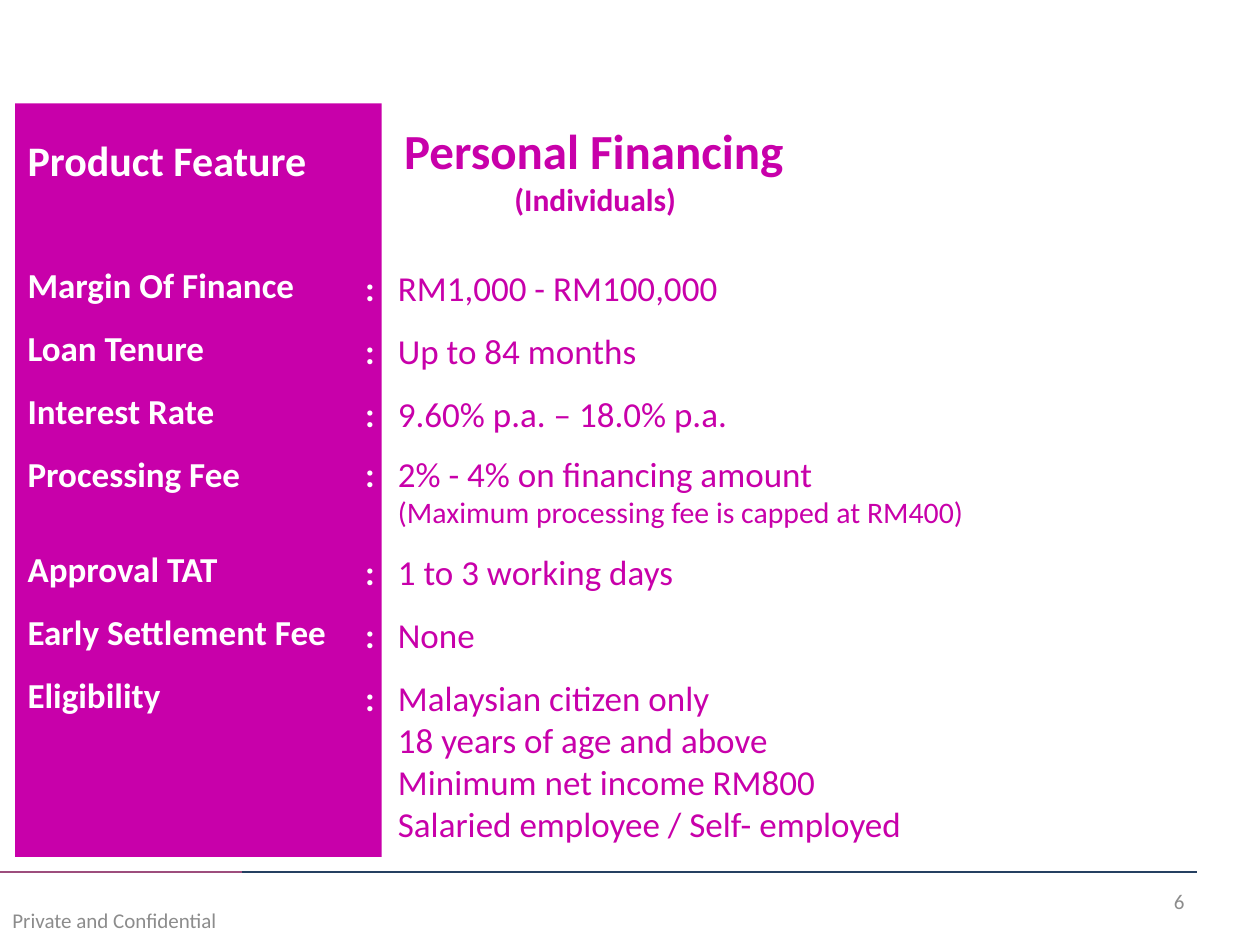
from lxml import etree
from pptx import Presentation, util as u
from pptx.dml.color import RGBColor
from pptx.enum import shapes, text
from pptx.oxml import ns

MAGENTA = RGBColor(0xC8, 0x00, 0xAA)
WHITE = RGBColor(0xFF, 0xFF, 0xFF)
GREY = RGBColor(0x8C, 0x8C, 0x8C)
PLUM = RGBColor(0x9D, 0x4D, 0x7D)
NAVY = RGBColor(0x25, 0x40, 0x61)

presentation = Presentation()
presentation.slide_width = u.Inches(10)
presentation.slide_height = u.Inches(7.5)
slide = presentation.slides.add_slide(presentation.slide_layouts[6])

PANEL_TOP, PANEL_BOTTOM = 0.82, 6.8
RULE_TOP = 6.92
VALUE_INDENT = u.Inches(0.26)


def write(frame, runs, size=20, bold=False, spacing=1.0, before=0, align=None, indent=0, hanging=0):
    first = not frame.paragraphs[0].runs
    paragraph = frame.paragraphs[0] if first else frame.add_paragraph()
    properties = paragraph._p.get_or_add_pPr()
    properties.set("marL", str(indent))
    properties.set("indent", str(-hanging))
    paragraph.alignment = align or text.PP_ALIGN.LEFT
    paragraph.line_spacing = spacing
    paragraph.space_before = u.Pt(before)
    for words, color in runs:
        run = paragraph.add_run()
        run.text = words
        run.font.name = "Calibri"
        run.font.size = u.Pt(size)
        run.font.bold = bold or color == WHITE
        run.font.color.rgb = color


def add_text_frame(left, top, width, height, anchor=text.MSO_ANCHOR.TOP):
    box = slide.shapes.add_textbox(*map(u.Inches, (left, top, width, height)))
    box.text_frame.word_wrap = True
    box.text_frame.vertical_anchor = anchor
    return box.text_frame


footer = add_text_frame(0, 7.1, 9.08, 0.4, text.MSO_ANCHOR.MIDDLE)
write(footer, [("Private and Confidential", GREY)], size=12)
page_number = add_text_frame(7.17, 6.95, 2.33, 0.4, text.MSO_ANCHOR.MIDDLE)
write(page_number, [("6", GREY)], size=12, align=text.PP_ALIGN.RIGHT)

for start, end, color in [(0, 9.33, PLUM), (1.92, 9.5, NAVY)]:
    rule = slide.shapes.add_connector(
        shapes.MSO_CONNECTOR.STRAIGHT,
        u.Inches(start), u.Inches(RULE_TOP), u.Inches(end), u.Inches(RULE_TOP))
    rule.line.color.rgb = color
    rule.line.width = u.Pt(1.25)
    etree.SubElement(rule._element.spPr, ns.qn("a:effectLst"))

panel = slide.shapes.add_shape(
    shapes.MSO_SHAPE.RECTANGLE, u.Inches(0.12), u.Inches(PANEL_TOP),
    u.Inches(2.91), u.Inches(PANEL_BOTTOM - PANEL_TOP))
panel.shadow.inherit = False
panel.fill.solid()
panel.fill.fore_color.rgb = MAGENTA
panel.line.fill.background()
features = panel.text_frame
features.word_wrap = True
features.vertical_anchor = text.MSO_ANCHOR.TOP
write(features, [("Product Feature", WHITE)], size=24, spacing=1.5)
for label, before in [
    ("Margin Of Finance", 33),
    ("Loan Tenure", 0),
    ("Interest Rate", 0),
    ("Processing Fee", 0),
    ("Approval TAT", 18),
    ("Early Settlement Fee", 0),
    ("Eligibility", 0),
]:
    write(features, [(label, WHITE)], spacing=1.5, before=before)

values = add_text_frame(2.8, 1.9, 4.96, PANEL_BOTTOM - 1.9)
for value, spacing, before, details, detail_size in [
    ("RM1,000 - RM100,000", 1.5, 0, [], 20),
    ("Up to 84 months", 1.5, 0, [], 20),
    ("9.60% p.a. – 18.0% p.a.", 1.5, 0, [], 20),
    ("2% - 4% on financing amount", 1.0, 10, ["(Maximum processing fee is capped at RM400)"], 17),
    ("1 to 3 working days", 1.5, 0, [], 20),
    ("None", 1.5, 0, [], 20),
    ("Malaysian citizen only", 1.5, 0,
     ["18 years of age and above", "Minimum net income RM800", "Salaried employee / Self- employed"], 20),
]:
    write(values, [(":\t", WHITE), (value, MAGENTA)], spacing=spacing, before=before,
          indent=VALUE_INDENT, hanging=VALUE_INDENT)
    for detail in details:
        write(values, [(detail, MAGENTA)], size=detail_size, indent=VALUE_INDENT)

heading = add_text_frame(3.11, 0.91, 3.23, 0.88)
write(heading, [("Personal Financing", MAGENTA)], size=28, bold=True)
write(heading, [("(Individuals)", MAGENTA)], size=18, bold=True, align=text.PP_ALIGN.CENTER)

presentation.save("out.pptx")
